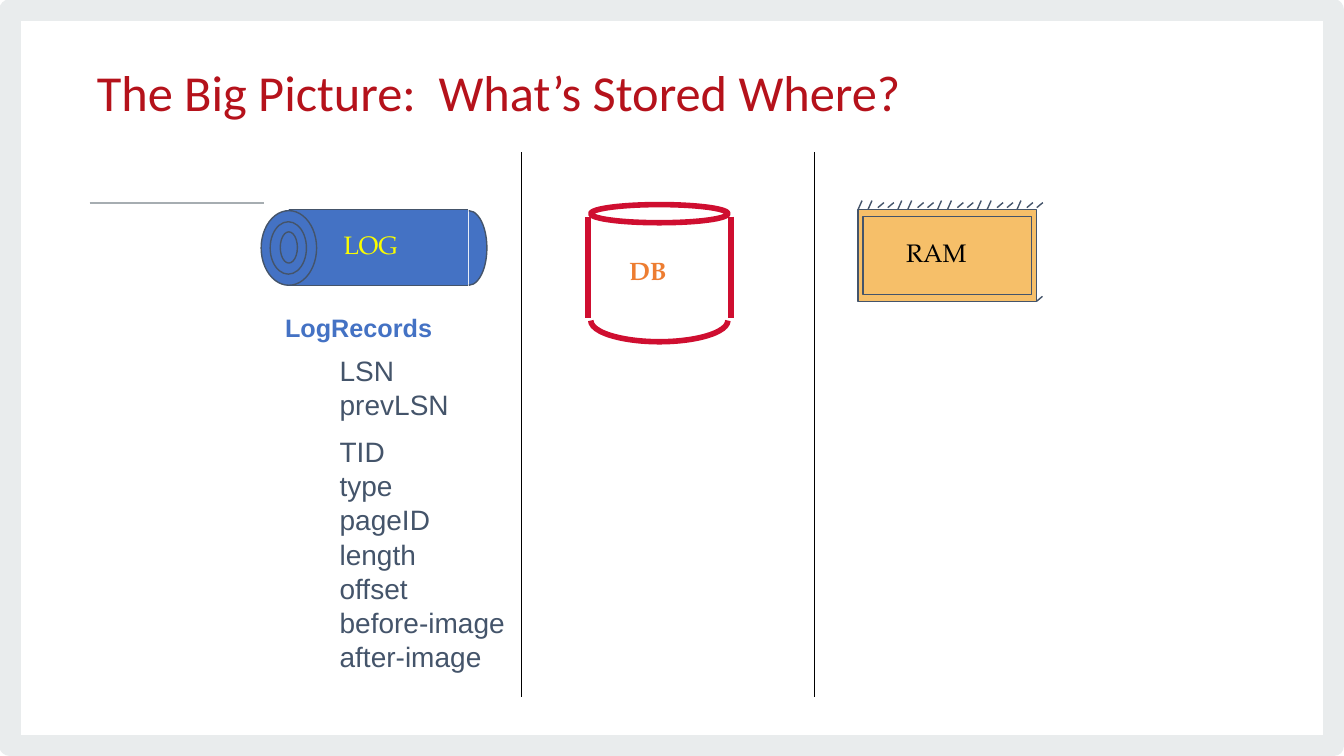
from dataclasses import dataclass
from typing import Optional

from lxml.etree import SubElement
from pptx import Presentation
from pptx.dml.color import RGBColor
from pptx.enum.shapes import MSO_CONNECTOR, MSO_SHAPE as Preset
from pptx.enum.text import MSO_ANCHOR, MSO_AUTO_SIZE, PP_ALIGN
from pptx.oxml.ns import qn
from pptx.util import Inches, Length, Pt

COLORS = {
    "frame": "E9ECED",
    "rule": "A6ADB1",
    "title": "B5121B",
    "disk": "CF0E30",
    "disk label": "ED7D31",
    "memory": "F6BF69",
    "slate": "44546A",
    "log": "4472C4",
    "log label": "FAFD00",
    "black": "000000",
}
SERIF = "TeX Gyre Pagella"
SANS = "Arial"
DEGREE = 0.6  # one degree in an arc's adjustment units


@dataclass
class Figure:
    preset: Preset
    column: float
    row: float
    columns: float
    rows: float
    fill: Optional[str] = None
    line: Optional[str] = "slate"
    weight: float = 1
    arc: Optional[tuple[float, float]] = None


@dataclass
class Stroke:
    start: tuple[float, float]
    end: tuple[float, float]
    color: str = "slate"
    weight: float = 1


@dataclass
class Label:
    lines: tuple[str, ...]
    column: float
    row: float
    columns: float
    rows: float = 4
    font: str = SERIF
    size: float = 18
    color: str = "black"
    bold: bool = False


def cells(count: float) -> Length:
    """Length of a number of grid columns or rows, ten to the inch."""
    return Inches(count / 10)


def rgb(name: str) -> RGBColor:
    return RGBColor.from_string(COLORS[name])


def draw_figure(slide, figure: Figure) -> None:
    shape = slide.shapes.add_shape(
        figure.preset, cells(figure.column), cells(figure.row),
        cells(figure.columns), cells(figure.rows))
    shape.shadow.inherit = False
    if figure.arc:
        for index, angle in enumerate(figure.arc):
            shape.adjustments[index] = angle * DEGREE
    if figure.fill:
        shape.fill.solid()
        shape.fill.fore_color.rgb = rgb(figure.fill)
    else:
        shape.fill.background()
    if figure.line:
        shape.line.color.rgb = rgb(figure.line)
        shape.line.width = Pt(figure.weight)
    else:
        shape.line.fill.background()


def draw_stroke(slide, stroke: Stroke) -> None:
    ends = (cells(value) for value in stroke.start + stroke.end)
    connector = slide.shapes.add_connector(MSO_CONNECTOR.STRAIGHT, *ends)
    connector.line.color.rgb = rgb(stroke.color)
    connector.line.width = Pt(stroke.weight)
    SubElement(connector._element.spPr, qn("a:effectLst"))


def draw_label(slide, label: Label) -> None:
    box = slide.shapes.add_textbox(
        cells(label.column), cells(label.row),
        cells(label.columns), cells(label.rows))
    frame = box.text_frame
    frame.word_wrap = False
    frame.auto_size = MSO_AUTO_SIZE.SHAPE_TO_FIT_TEXT
    for index, line in enumerate(label.lines):
        paragraph = frame.add_paragraph() if index else frame.paragraphs[0]
        run = paragraph.add_run()
        run.text = line
        run.font.name = label.font
        run.font.size = Pt(label.size)
        run.font.bold = label.bold
        run.font.color.rgb = rgb(label.color)


def draw_title(slide, text: str) -> None:
    title = slide.shapes.title
    title.left, title.top = cells(8.6), cells(5.2)
    title.width, title.height = cells(83.3), cells(13.4)
    frame = title.text_frame
    frame.word_wrap = True
    frame.auto_size = MSO_AUTO_SIZE.NONE
    frame.vertical_anchor = MSO_ANCHOR.TOP
    frame.margin_top = cells(2)
    paragraph = frame.paragraphs[0]
    paragraph.alignment = PP_ALIGN.LEFT
    paragraph.line_spacing = Pt(34.7)
    paragraph.space_before = Pt(0)
    run = paragraph.add_run()
    run.text = text
    run.font.name = "Calibri"
    run.font.size = Pt(36)
    run.font.color.rgb = rgb("title")


def memory_pins() -> list[Stroke]:
    """Ticks along the memory chip, in alternating long and short pairs."""
    pins = []
    for index in range(19):
        column = 85.1 + 0.985 * index
        if index % 4 < 2 and index < 17:
            pins.append(Stroke((column, 20.8), (column + 0.4, 19.9)))
        else:
            pins.append(Stroke((column, 20.6), (column + 0.6, 20.1)))
    return pins + [Stroke((102.8, 29.9), (103.4, 29.4))]


def record_fields() -> list[Label]:
    style = dict(font=SANS, size=20, color="slate")
    widths = {"TID": 6.5, "type": 7.4, "pageID": 11.1, "length": 9.7,
              "offset": 8.9, "before-image": 18.5, "after-image": 16.1}
    fields = [Label(("LSN", "prevLSN"), 32.7, 34.6, 12.9, 7.7, **style)]
    for index, (name, width) in enumerate(widths.items()):
        fields.append(
            Label((name,), 32.7, 42.6 + 3.4 * index, width, 4.4, **style))
    return fields


BACKDROP = [
    Figure(Preset.RECTANGLE, 1, 1, 131.3, 73, line="frame", weight=15.11),
    Stroke((8.9, 20.1), (26.2, 20.1), "rule", 1.33),
]
DISK = [
    Figure(Preset.OVAL, 58.6, 20.3, 13.6, 1.8, line="disk", weight=4),
    *(Stroke((column, 21.5), (column, 31.5), "disk", 4)
      for column in (58.3, 72.5)),
    Figure(Preset.ARC, 58.6, 29.7, 13.6, 4.2, line="disk", weight=4,
           arc=(0, 180)),
    Label(("DB",), 61.4, 24.8, 5.8, color="disk label", bold=True),
]
MEMORY = [
    Figure(Preset.RECTANGLE, 85.1, 20.8, 17.7, 9.1, "memory"),
    Figure(Preset.RECTANGLE, 85.6, 21.5, 16.7, 7.7),
    *memory_pins(),
    Label(("RAM",), 88.9, 23.1, 8),
]
LOG = [
    Label(("LogRecords",), 27.3, 30.5, 16.7, font=SANS, color="log",
          bold=True),
    *record_fields(),
    Figure(Preset.RECTANGLE, 28.6, 20.8, 17.8, 7.5, "log", None),
    Figure(Preset.OVAL, 25.9, 20.9, 5.5, 7.4, "log"),
    *(Stroke((28.7, row), (46.4, row)) for row in (20.8, 28.3)),
    Figure(Preset.ARC, 44.7, 20.9, 3.6, 7.4, "log", arc=(270, 90)),
    Figure(Preset.OVAL, 26.8, 22, 3.6, 5.2),
    Figure(Preset.OVAL, 27.8, 23, 1.7, 3.1),
    Label(("LOG",), 33.1, 22.3, 7.5, color="log label"),
]
DIVIDERS = [Stroke((column, 15.1), (column, 69.1), "black")
            for column in (51.7, 80.8)]


def main() -> None:
    presentation = Presentation()
    presentation.slide_width = Inches(13.33)
    presentation.slide_height = Inches(7.5)
    slide = presentation.slides.add_slide(presentation.slide_layouts[5])
    draw = {Figure: draw_figure, Stroke: draw_stroke, Label: draw_label}
    for element in BACKDROP + DISK + MEMORY + LOG + DIVIDERS:
        draw[type(element)](slide, element)
    draw_title(slide, "The Big Picture:  What’s Stored Where?")
    presentation.save("out.pptx")


if __name__ == "__main__":
    main()
